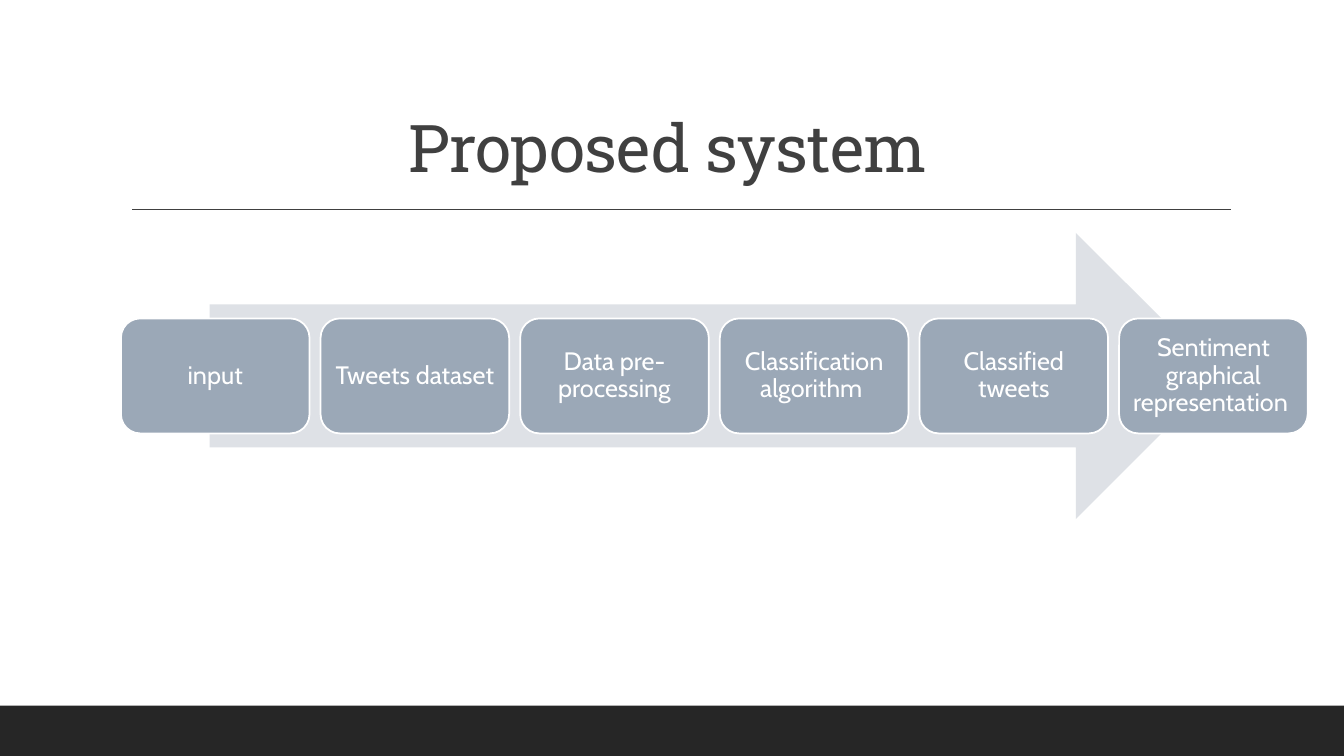
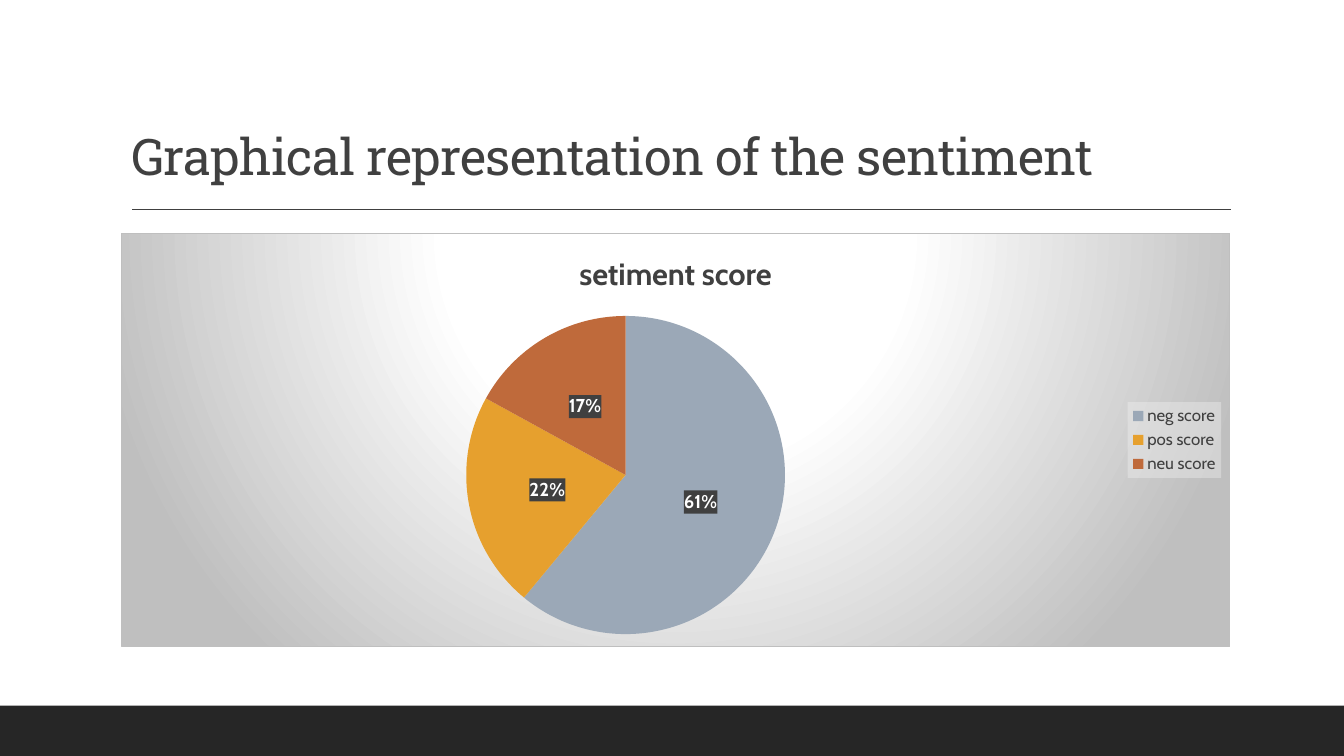
from pptx import Presentation
from pptx.chart.data import CategoryChartData
from pptx.dml.color import RGBColor
from pptx.enum.chart import XL_CHART_TYPE as Chart, XL_LABEL_POSITION as LabelPos, XL_LEGEND_POSITION as LegendPos
from pptx.enum.shapes import MSO_CONNECTOR as Connector, MSO_SHAPE as Shape
from pptx.enum.text import MSO_ANCHOR as Anchor, MSO_AUTO_SIZE as AutoSize, PP_ALIGN as Align
from pptx.oxml import parse_xml
from pptx.oxml.ns import nsdecls
from pptx.util import Inches, Pt

INK, BAND, WHITE, STEEL, PALE = "404040", "262626", "FFFFFF", "9BA8B7", "DEE1E6"
SLICES = [STEEL, "E6A02E", "BF6A3B"]
HEADING, BODY = "Roboto Slab", "Cabin"


def rgb(value):
    return RGBColor.from_string(value)


def apply(target, **values):
    for name, value in values.items():
        setattr(target, name, value)


def style_font(font, size, color, name=BODY, bold=False):
    apply(font, size=Pt(size), name=name, bold=bold)
    font.color.rgb = rgb(color)


def solid_xml(color, alpha):
    return f'<a:solidFill><a:srgbClr val="{color}"><a:alpha val="{alpha * 1000}"/></a:srgbClr></a:solidFill>'


def glow_xml(stops, edge):
    marks = "".join(f'<a:gs pos="{at * 1000}"><a:srgbClr val="{color}"/></a:gs>' for at, color in stops)
    return (f'<a:gradFill><a:gsLst>{marks}</a:gsLst><a:path path="circle">'
            '<a:fillToRect l="50000" t="-80000" r="50000" b="180000"/></a:path></a:gradFill>'
            f'<a:ln w="9525"><a:solidFill><a:srgbClr val="{edge}"/></a:solidFill></a:ln>')


def paint_chart_part(chart, part, fill):
    text_style = chart.element.xpath(f"{part}c:txPr")[0]
    text_style.addprevious(parse_xml(f'<c:spPr {nsdecls("c", "a")}>{fill}</c:spPr>'))


class Deck:
    """Holds the deck style and the current slide."""

    def __init__(self):
        self.prs = Presentation()
        apply(self.prs, slide_width=Inches(13.33), slide_height=Inches(7.5))

    def new_slide(self, title, size, align):
        self.slide = self.prs.slides.add_slide(self.prs.slide_layouts[5])
        self.shape(Shape.RECTANGLE, 0, 7, 13.33, 0.5, BAND)
        self.rule(1.31, 12.21, 2.08)
        self.title(title, size, align)

    def title(self, text, size, align):
        heading = self.slide.shapes.title
        apply(heading, left=Inches(1.2), top=Inches(0.31), width=Inches(11), height=Inches(1.59))
        self.set_text(heading, text, size, INK, HEADING, Anchor.BOTTOM, align)
        run = heading.text_frame.paragraphs[0].runs[0]
        run.font._element.set("spc", "-50")

    def set_text(self, holder, text, size, color, font, anchor, align):
        frame = holder.text_frame
        frame.text = text
        apply(frame, word_wrap=True, auto_size=AutoSize.NONE, vertical_anchor=anchor)
        paragraph = frame.paragraphs[0]
        apply(paragraph, alignment=align, line_spacing=0.9)
        style_font(paragraph.runs[0].font, size, color, font)

    def rule(self, left, right, y):
        line = self.slide.shapes.add_connector(
            Connector.STRAIGHT, Inches(left), Inches(y), Inches(right), Inches(y))
        line.line.color.rgb = rgb(INK)
        line.line.width = Pt(1)
        line._element.spPr.append(parse_xml(f'<a:effectLst {nsdecls("a")}/>'))

    def shape(self, kind, left, top, width, height, fill, edge=None):
        shape = self.slide.shapes.add_shape(kind, *map(Inches, (left, top, width, height)))
        shape.shadow.inherit = False
        shape.fill.solid()
        shape.fill.fore_color.rgb = rgb(fill)
        if edge:
            shape.line.color.rgb = rgb(edge)
            shape.line.width = Pt(1.25)
        else:
            shape.line.fill.background()
        return shape

    def step(self, text, left):
        box = self.shape(Shape.ROUNDED_RECTANGLE, left, 3.16, 1.87, 1.14, STEEL, WHITE)
        inset = Inches(0.07)
        apply(box.text_frame, margin_left=inset, margin_right=inset, margin_top=inset, margin_bottom=inset)
        self.set_text(box, text, 18, WHITE, BODY, Anchor.MIDDLE, Align.CENTER)

    def pie(self, name, scores):
        data = CategoryChartData()
        data.categories = list(scores)
        data.add_series(name, list(scores.values()))
        chart = self.slide.shapes.add_chart(
            Chart.PIE, Inches(1.2), Inches(2.31), Inches(11), Inches(4.11), data).chart
        style_font(chart.font, 10, "000000")
        chart.has_title = True
        chart.chart_title.text_frame.text = name
        style_font(chart.chart_title.text_frame.paragraphs[0].runs[0].font, 22, INK, bold=True)

        chart.has_legend = True
        apply(chart.legend, position=LegendPos.RIGHT, include_in_layout=False)
        style_font(chart.legend.font, 12, INK)

        plot = chart.plots[0]
        plot.vary_by_categories = True
        for index, color in enumerate(SLICES):
            fill = plot.series[0].points[index].format.fill
            fill.solid()
            fill.fore_color.rgb = rgb(color)
        labels = plot.series[0].data_labels
        apply(labels, show_percentage=True, show_value=False, number_format="0%",
              number_format_is_linked=False, position=LabelPos.CENTER)
        style_font(labels.font, 13.3, WHITE, bold=True)

        paint_chart_part(chart, "", glow_xml([(0, WHITE), (39, WHITE), (100, "BFBFBF")], "BFBFBF"))
        paint_chart_part(chart, "c:chart/c:legend/", solid_xml("F2F2F2", 39))
        paint_chart_part(chart, ".//c:ser/c:dLbls/", solid_xml(INK, 90))
        self.place_plot(chart, x=0.31, y=0.2, w=0.29, h=0.77)

    def place_plot(self, chart, **area):
        for old in chart.element.xpath(".//c:plotArea/c:layout"):
            old.getparent().remove(old)
        modes = '<c:layoutTarget val="inner"/><c:xMode val="edge"/><c:yMode val="edge"/>'
        sizes = "".join(f'<c:{side} val="{share}"/>' for side, share in area.items())
        layout = f'<c:layout {nsdecls("c")}><c:manualLayout>{modes}{sizes}</c:manualLayout></c:layout>'
        chart.element.xpath(".//c:plotArea")[0].insert(0, parse_xml(layout))


deck = Deck()

deck.new_slide("Proposed system ", 47, Align.CENTER)
deck.shape(Shape.RIGHT_ARROW, 2.08, 2.31, 10.01, 2.84, PALE)
STEPS = ["input", "Tweets dataset", "Data pre-processing", "Classification algorithm ",
         "Classified tweets", "Sentiment graphical representation "]
for position, step in enumerate(STEPS):
    deck.step(step, 1.2 + 1.98 * position)

deck.new_slide("Graphical representation of the sentiment ", 36, Align.LEFT)
deck.pie("setiment score", {"neg score": 61, "pos score": 22, "neu score": 17})

deck.prs.save("out.pptx")
